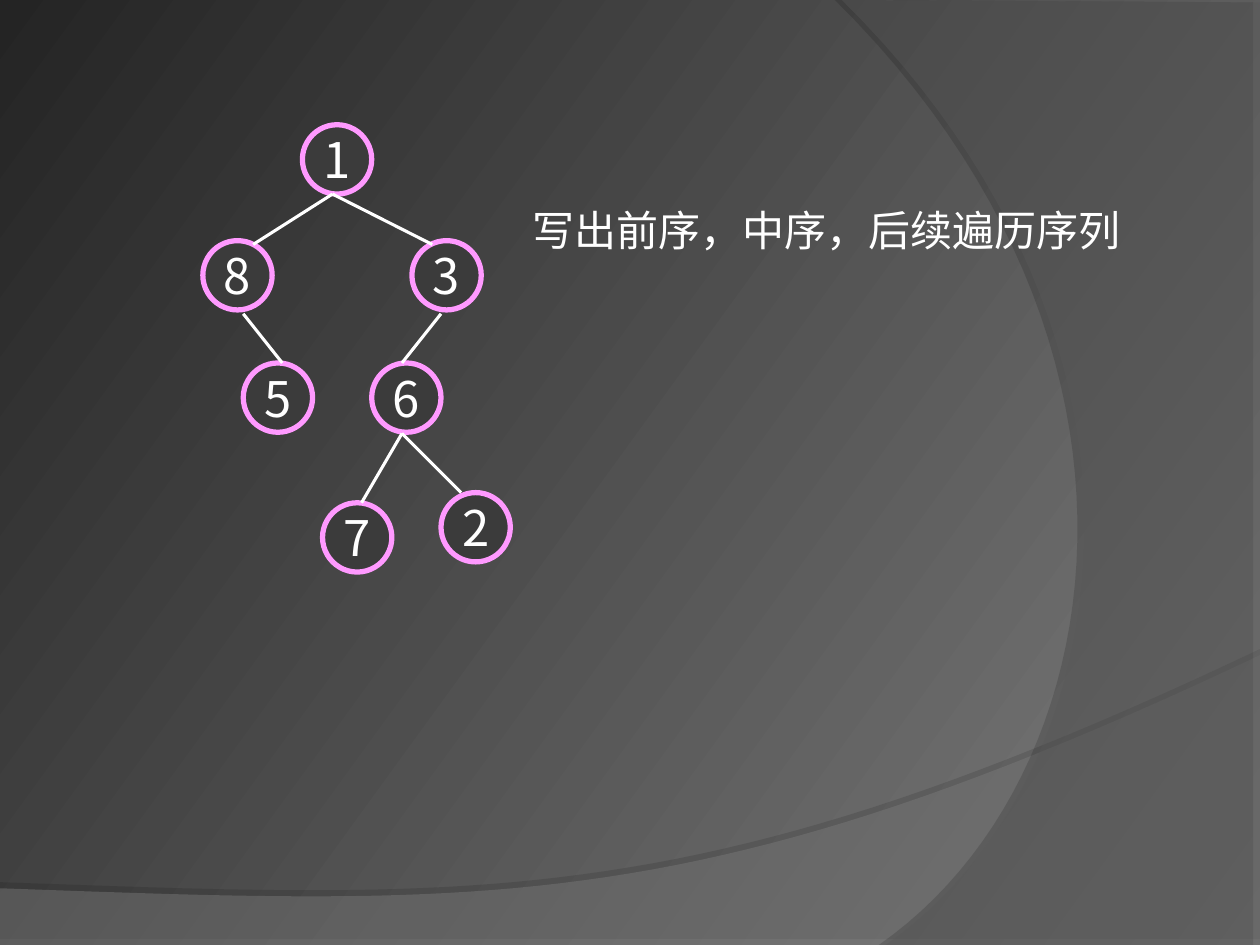
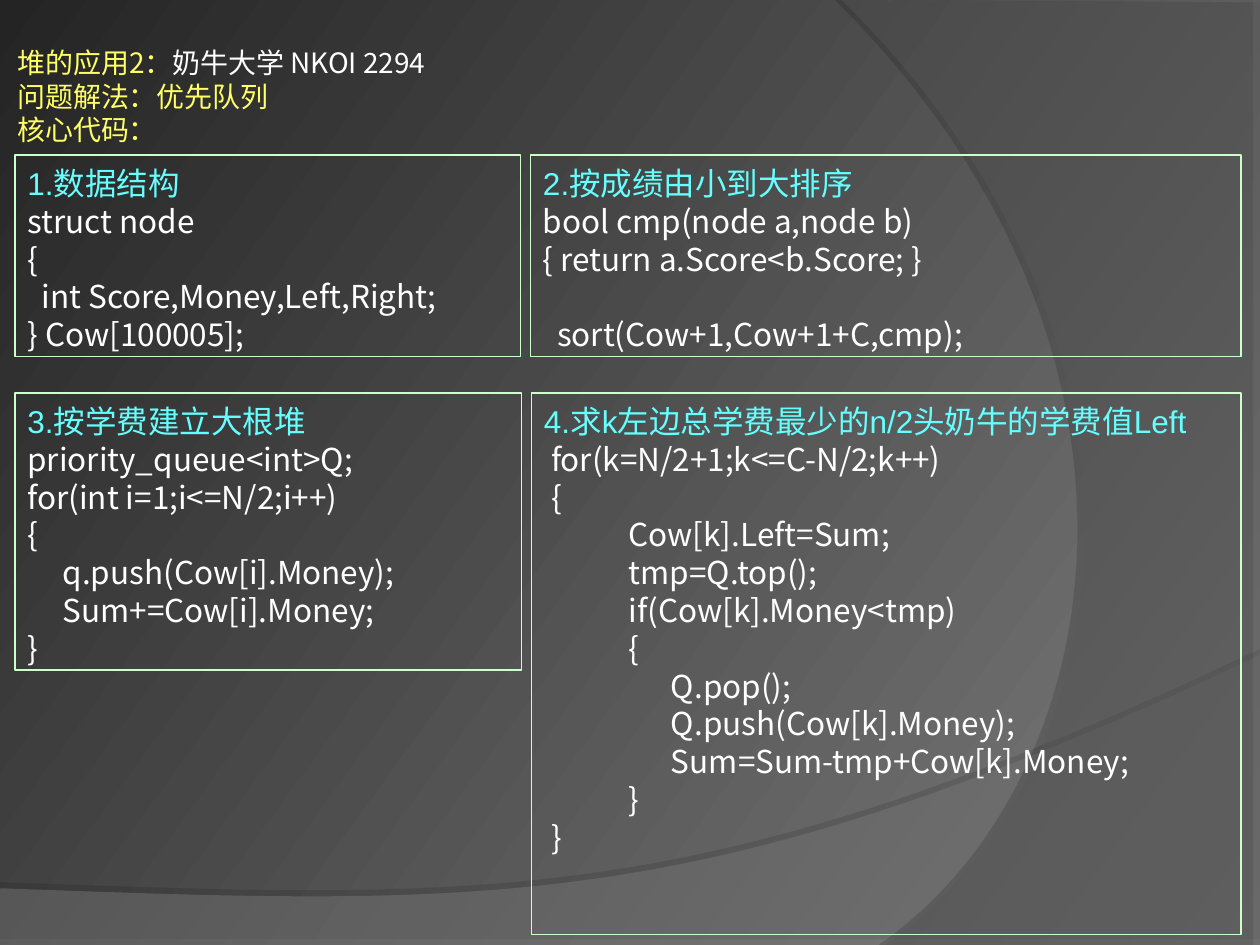
from lxml import etree
from pptx import Presentation
from pptx.dml.color import RGBColor
from pptx.enum.shapes import MSO_CONNECTOR, MSO_SHAPE
from pptx.enum.text import MSO_ANCHOR, PP_ALIGN
from pptx.oxml.ns import qn
from pptx.util import Pt

STRAIGHT = MSO_CONNECTOR.STRAIGHT
OVAL, RECTANGLE = MSO_SHAPE.OVAL, MSO_SHAPE.RECTANGLE
MIDDLE, TOP = MSO_ANCHOR.MIDDLE, MSO_ANCHOR.TOP
CENTER, LEFT = PP_ALIGN.CENTER, PP_ALIGN.LEFT

WHITE = RGBColor(0xFF, 0xFF, 0xFF)
DARK = RGBColor(0x24, 0x24, 0x24)
LIGHT = RGBColor(0x7D, 0x7D, 0x7D)
WAVE_GRAY = RGBColor(0x7C, 0x7C, 0x7C)
ARC_GRAY = RGBColor(0x59, 0x59, 0x59)
NODE_FILL = RGBColor(0x3B, 0x3B, 0x3B)
PINK = RGBColor(0xFF, 0x99, 0xFF)
YELLOW = RGBColor(0xFF, 0xFF, 0x66)
CYAN = RGBColor(0x66, 0xFF, 0xFF)
MINT = RGBColor(0xCC, 0xFF, 0xCC)

PAGE_WIDTH, PAGE_HEIGHT = 720, 540
BODY_FONT, NODE_FONT, HEADING_FONT = "Noto Sans CJK SC", "Noto Sans CJK JP", "Arial"
CODE_SIZE, LINE_FACTOR = 18, 1.2
NODE_SIZE = 39.6

NODES = {
    "1": (172.8, 71.3), "8": (115.9, 137.5), "3": (235.4, 137.5),
    "5": (139, 207.4), "6": (212.4, 207.4), "2": (252, 281.5), "7": (184.3, 287.3),
}
EDGES = {
    ("1", "8"): (190, 110.9, 144.7, 139.7),
    ("1", "3"): (190, 110.9, 247, 139.7),
    ("3", "6"): (252, 179.3, 229.7, 207.4),
    ("6", "2"): (229.7, 247.7, 263.5, 281.5),
    ("8", "5"): (139, 179.3, 161.3, 207.4),
    ("6", "7"): (229.7, 247.7, 206.6, 287.3),
}

STRUCT_CODE = """struct node
{
  int Score,Money,Left,Right;
} Cow[100005];"""

SORT_CODE = """bool cmp(node a,node b)
{ return a.Score<b.Score; }

  sort(Cow+1,Cow+1+C,cmp);"""

HEAP_CODE = """priority_queue<int>Q;
for(int i=1;i<=N/2;i++)
{
     q.push(Cow[i].Money);
     Sum+=Cow[i].Money;
}"""

LEFT_CODE = """ for(k=N/2+1;k<=C-N/2;k++)
 {
            Cow[k].Left=Sum;
            tmp=Q.top();
            if(Cow[k].Money<tmp)
            {
                  Q.pop();
                  Q.push(Cow[k].Money);
                  Sum=Sum-tmp+Cow[k].Money;
            }
 }"""

# heading, code, left, top, width, height in text rows
CODE_PANELS = [
    ("1.数据结构", STRUCT_CODE, 8.6, 88.6, 289, 5),
    ("2.按成绩由小到大排序", SORT_CODE, 303.2, 88.6, 406, 5),
    ("3.按学费建立大根堆", HEAP_CODE, 8.6, 224.6, 289.4, 7),
    ("4.求k左边总学费最少的n/2头奶牛的学费值Left", LEFT_CODE, 303.8, 224.6, 405.4, 14),
]


def set_all(target, values):
    for name, value in values.items():
        setattr(target, name, value)


def curve(start, first, second, end, steps=48):
    """Return points along a cubic Bezier curve, both ends included."""
    points = []
    for step in range(steps + 1):
        t = step / steps
        weights = ((1 - t) ** 3, 3 * t * (1 - t) ** 2, 3 * t * t * (1 - t), t ** 3)
        points.append(tuple(
            sum(weight * value for weight, value in zip(weights, axis))
            for axis in zip(start, first, second, end)))
    return points


class Deck:
    """Holds the presentation, its style and the page being drawn."""

    def __init__(self):
        self.deck = Presentation()
        set_all(self.deck, {"slide_width": Pt(PAGE_WIDTH), "slide_height": Pt(PAGE_HEIGHT)})
        self.page = None

    def add_page(self):
        self.page = self.deck.slides.add_slide(self.deck.slide_layouts[6])
        fill = self.page.background.fill
        fill.gradient()
        fill.gradient_angle = 324
        for stop, color, position in zip(fill.gradient_stops, (DARK, LIGHT), (0, 1)):
            stop.color.rgb = color
            stop.position = position
        wave = curve((720, 374.4), (402.5, 524.9), (281.5, 517.7), (0, 507.6))
        self.backdrop([(0, 540), (720, 540)] + wave, WAVE_GRAY, 45, (25, 3.5, 270))
        arc = curve((506.2, 540), (641.5, 445.7), (681.8, 198), (481, 0))
        self.backdrop([(720, 1.4), (720, 540)] + arc, ARC_GRAY, 40, (35, 4, 180))

    def backdrop(self, points, color, opacity, shadow):
        """Draw a see-through area; shadow is opacity, distance and direction."""
        outline = [(Pt(x), Pt(y)) for x, y in points]
        builder = self.page.shapes.build_freeform(*outline[0])
        builder.add_line_segments(outline[1:], close=True)
        shape = builder.convert_to_shape()
        shape.fill.solid()
        shape.fill.fore_color.rgb = color
        shape.line.fill.background()
        shape.shadow.inherit = False
        properties = shape._element.spPr
        tint = properties.find(qn("a:solidFill"))[0]
        etree.SubElement(tint, qn("a:alpha"), val=str(opacity * 1000))
        shade, distance, direction = shadow
        cast = etree.SubElement(
            properties.find(qn("a:effectLst")), qn("a:outerShdw"), blurRad="0",
            dist=str(Pt(distance)), dir=str(direction * 60000), algn="ctr", rotWithShape="0")
        black = etree.SubElement(cast, qn("a:srgbClr"), val="000000")
        etree.SubElement(black, qn("a:alpha"), val=str(shade * 1000))

    def shape(self, kind, area, line_color, line_width, fill=None):
        shape = self.page.shapes.add_shape(kind, *map(Pt, area))
        shape.shadow.inherit = False
        if fill is None:
            shape.fill.background()
        else:
            shape.fill.solid()
            shape.fill.fore_color.rgb = fill
        shape.line.color.rgb = line_color
        shape.line.width = Pt(line_width)
        return shape

    def span(self, para, text, size, color=WHITE, font=BODY_FONT):
        span = para.add_run()
        span.text = text
        set_all(span.font, {"size": Pt(size), "name": font})
        span.font.color.rgb = color
        east_font = NODE_FONT if font == NODE_FONT else BODY_FONT
        etree.SubElement(span.font._element, qn("a:ea"), typeface=east_font)

    def put_lines(self, box, lines, size):
        """Fill a box with lines of spans; an empty line becomes a gap."""
        frame = box.text_frame
        set_all(frame, {"word_wrap": True, "vertical_anchor": TOP, "margin_top": Pt(5.2)})
        pitch = Pt(size * LINE_FACTOR)
        gap = None
        para = frame.paragraphs[0]
        for number, spans in enumerate(lines):
            if not spans:
                gap = pitch
                continue
            if number:
                para = frame.add_paragraph()
            set_all(para, {"alignment": LEFT, "line_spacing": pitch, "space_before": gap})
            gap = None
            for text, *style in spans:
                self.span(para, text, size, *style)

    def text(self, area, lines, size):
        self.put_lines(self.page.shapes.add_textbox(*map(Pt, area)), lines, size)

    def node(self, label, left, top):
        circle = self.shape(OVAL, (left, top, NODE_SIZE, NODE_SIZE), PINK, 3, NODE_FILL)
        set_all(circle.text_frame, {"word_wrap": False, "vertical_anchor": MIDDLE})
        para = circle.text_frame.paragraphs[0]
        para.alignment = CENTER
        self.span(para, label, 28, WHITE, NODE_FONT)

    def edge(self, ends):
        edge = self.page.shapes.add_connector(STRAIGHT, *map(Pt, ends))
        edge.line.color.rgb = WHITE
        edge.line.width = Pt(1.75)
        etree.SubElement(edge._element.spPr, qn("a:effectLst"))

    def code_panel(self, heading, code, left, top, width, rows):
        height = 7.2 + rows * CODE_SIZE * LINE_FACTOR
        panel = self.shape(RECTANGLE, (left, top, width, height), MINT, 0.75)
        lines = [[(heading, CYAN, HEADING_FONT)]]
        lines += [[(line,)] if line else [] for line in code.splitlines()]
        self.put_lines(panel, lines, CODE_SIZE)


def traversal_page(deck):
    deck.add_page()
    for label, (left, top) in NODES.items():
        deck.node(label, left, top)
    for ends in EDGES.values():
        deck.edge(ends)
    deck.text((297.4, 111.6, 386, 36), [[("写出前序，中序，后续遍历序列",)]], 24)


def priority_queue_page(deck):
    deck.add_page()
    deck.text((2.9, 20.9, 653, 83.5), [
        [("堆的应用2：", YELLOW), ("奶牛大学 NKOI 2294",)],
        [("问题解法：优先队列", YELLOW)],
        [("核心代码：", YELLOW)],
    ], 16)
    for panel in CODE_PANELS:
        deck.code_panel(*panel)


def main():
    deck = Deck()
    traversal_page(deck)
    priority_queue_page(deck)
    deck.deck.save("out.pptx")


if __name__ == "__main__":
    main()
